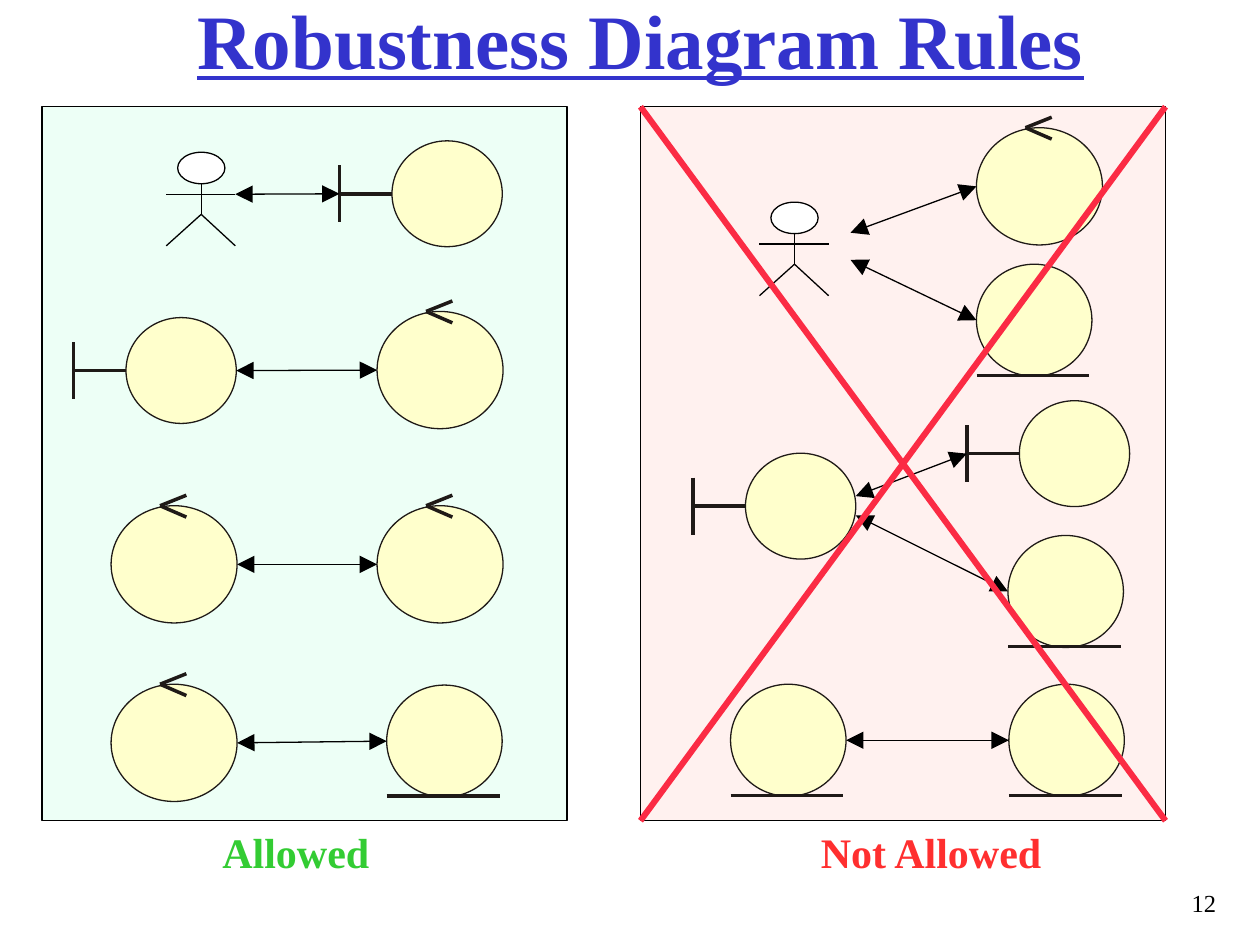
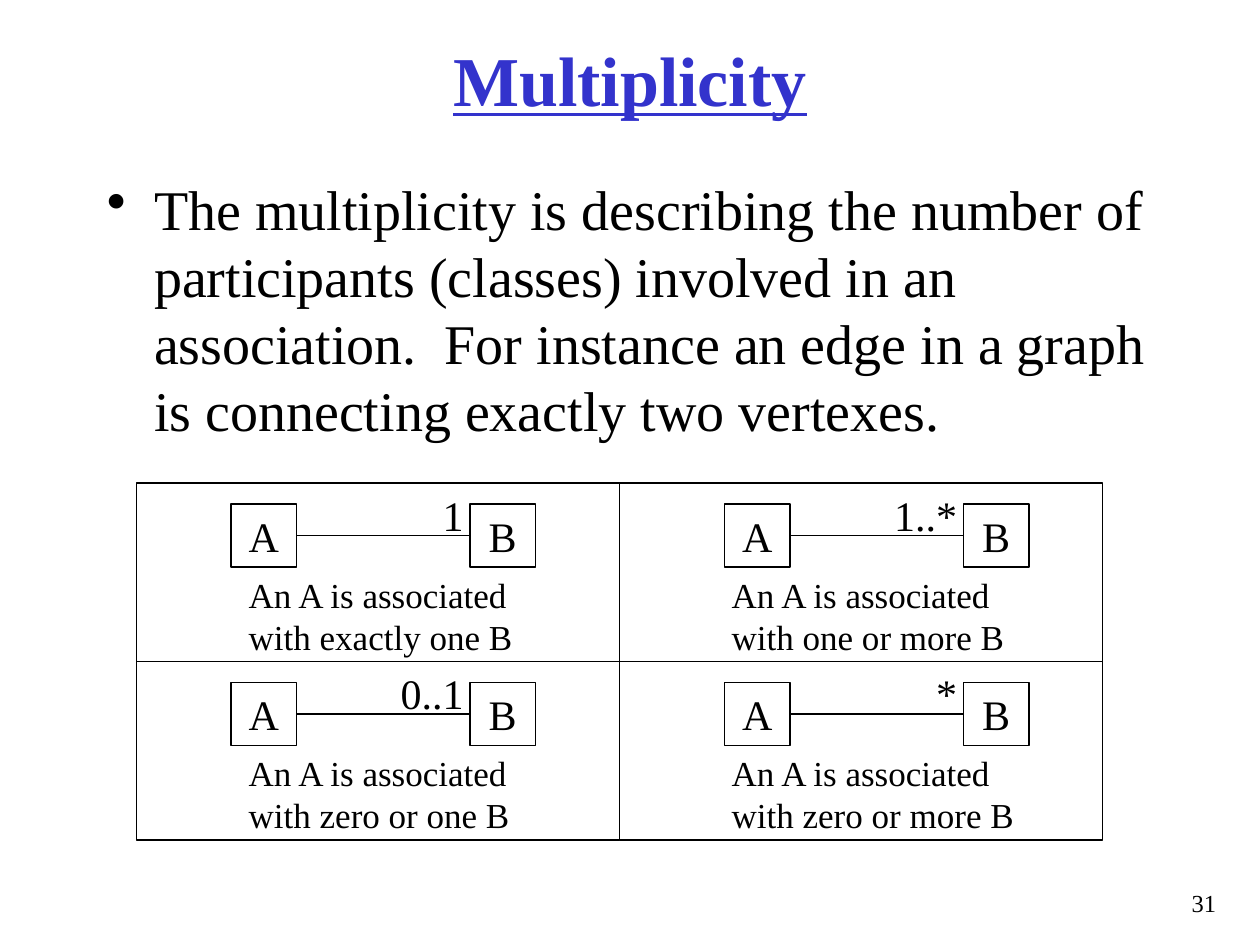
from lxml.etree import SubElement
from pptx import Presentation
from pptx.dml.color import RGBColor
from pptx.enum.shapes import MSO_CONNECTOR, MSO_SHAPE
from pptx.enum.text import MSO_ANCHOR, PP_ALIGN
from pptx.oxml.ns import qn
from pptx.util import Pt

# Shared style
FONT = "Times New Roman"
BLACK, WHITE, TITLE_BLUE = "000000", "FFFFFF", "3333CC"
SYMBOL_FILL, SYMBOL_LINE = "FFFFCC", "1F1A17"
CROSS_RED = "FB2B44"
HAIRLINE, THIN, THICK = 0, 0.75, 3.5

# Robustness rules: panel left, fill, caption, caption left, caption colour
PANEL_TOP, PANEL_WIDTH, PANEL_HEIGHT = 61, 300, 408
PANELS = [
    (24, "EDFFF6", "Allowed", 120, "33CC33"),
    (366, "FFF1EF", "Not Allowed", 462, "FF2F2F"),
]

# Circle or head size of each symbol, and its strokes relative to the top left
SYMBOL_SIZES = {
    "actor": (27, 18),
    "boundary": (63, 60.5),
    "control": (72, 67),
    "entity": (66, 64),
}
SYMBOL_STROKES = {
    "actor": [
        (13.5, 18, 13.5, 35.5),
        (-6.5, 24, 33, 24),
        (13.5, 35.5, 33, 53.5),
        (13.5, 35.5, -6.5, 53.5),
    ],
    "boundary": [(-30, 14, -30, 46.5), (-30, 30.25, 0, 30.25)],
    "control": [(43, -6, 28, 0), (43, 6.5, 28, 0)],
    "entity": [(0, 63.5, 64.5, 63.5)],
}

# Symbols by name: kind, left, top
SYMBOLS = {
    "user": ("actor", 101.5, 87),
    "user screen": ("boundary", 224, 80.5),
    "screen": ("boundary", 72, 181.5),
    "screen control": ("control", 215.5, 178),
    "first control": ("control", 63.5, 289),
    "second control": ("control", 215.5, 289),
    "data control": ("control", 63.5, 391),
    "data": ("entity", 221, 391.5),
    "barred user": ("actor", 440.5, 115.5),
    "barred control": ("control", 558, 73),
    "barred data": ("entity", 558, 151),
    "barred screen": ("boundary", 426, 259),
    "other screen": ("boundary", 582.5, 229),
    "screen data": ("entity", 576, 306),
    "first data": ("entity", 417.5, 391),
    "second data": ("entity", 576.5, 391),
}

# Arrows start at a symbol's right side or at a given point
ARROWS = [
    ("user", "user screen"),
    ("screen", "screen control"),
    ("first control", "second control"),
    ("data control", "data"),
    ((486, 133), "barred control"),
    ((486, 148.5), "barred data"),
    ((489, 283.5), "other screen"),
    ((489, 294.5), "screen data"),
    ("first data", "second data"),
]

# Multiplicity
MULTIPLICITY_TEXT = (
    "The multiplicity is describing the number of participants (classes) "
    "involved in an association.  For instance an edge in a graph is "
    "connecting exactly two vertexes."
)
MULTIPLICITIES = [
    [("1", "exactly one"), ("1..*", "one or more")],
    [("0..1", "zero or one"), ("*", "zero or more")],
]
GRID_LEFT, GRID_TOP, CELL_WIDTH, CELL_HEIGHT = 78, 276, 276, 102
CLASS_WIDTH, CLASS_HEIGHT, CLASS_GAP = 37.5, 36, 99


def color(value):
    return RGBColor.from_string(value)


def add_box(shapes, kind, left, top, width, height, fill, line=BLACK, weight=THIN):
    shape = shapes.add_shape(kind, Pt(left), Pt(top), Pt(width), Pt(height))
    shape.shadow.inherit = False
    if fill:
        shape.fill.solid()
        shape.fill.fore_color.rgb = color(fill)
    else:
        shape.fill.background()
    shape.line.color.rgb = color(line)
    shape.line.width = Pt(weight)
    return shape


def add_line(shapes, x1, y1, x2, y2, line=BLACK, weight=THIN, arrows=False):
    connector = shapes.add_connector(
        MSO_CONNECTOR.STRAIGHT, Pt(x1), Pt(y1), Pt(x2), Pt(y2))
    connector.line.color.rgb = color(line)
    connector.line.width = Pt(weight)
    if arrows:
        outline = connector.line._get_or_add_ln()
        for end in ("a:headEnd", "a:tailEnd"):
            SubElement(outline, qn(end), type="triangle", w="lg", len="lg")
    SubElement(connector._element.spPr, qn("a:effectLst"))
    return connector


def write(shape, text, size, ink=BLACK, align=PP_ALIGN.LEFT,
          anchor=MSO_ANCHOR.TOP, bold=False, underline=False, wrap=True):
    frame = shape.text_frame
    frame.word_wrap = wrap
    frame.vertical_anchor = anchor
    frame.text = text
    paragraph = frame.paragraphs[0]
    paragraph.alignment = align
    for run in paragraph.runs:
        run.font.name = FONT
        run.font.size = Pt(size)
        run.font.bold = bold
        run.font.underline = underline
        run.font.color.rgb = color(ink)
    return paragraph


def add_text(slide, left, top, width, height, text, size, **style):
    shape = slide.shapes.add_textbox(Pt(left), Pt(top), Pt(width), Pt(height))
    return write(shape, text, size, **style)


def add_slide(presentation, title, title_place, title_size, number):
    slide = presentation.slides.add_slide(presentation.slide_layouts[6])
    add_text(slide, *title_place, title, title_size, ink=TITLE_BLUE,
             align=PP_ALIGN.CENTER, anchor=MSO_ANCHOR.MIDDLE,
             bold=True, underline=True)
    add_text(slide, 336, 504, 366, 24, str(number), 14, align=PP_ALIGN.RIGHT)
    return slide


def add_symbol(slide, kind, left, top):
    shapes = slide.shapes.add_group_shape().shapes
    fill, line, weight = SYMBOL_FILL, SYMBOL_LINE, HAIRLINE
    if kind == "actor":
        fill, line, weight = WHITE, BLACK, THIN
    add_box(shapes, MSO_SHAPE.OVAL, left, top, *SYMBOL_SIZES[kind],
            fill, line, weight)
    for x1, y1, x2, y2 in SYMBOL_STROKES[kind]:
        add_line(shapes, left + x1, top + y1, left + x2, top + y2, line, weight)


def right_side(name):
    kind, left, top = SYMBOLS[name]
    width, height = SYMBOL_SIZES[kind]
    if kind == "actor":
        return left + 33, top + 24
    return left + width, top + height / 2


def left_side(name):
    kind, left, top = SYMBOLS[name]
    bar = 30 if kind == "boundary" else 0
    return left - bar, top + SYMBOL_SIZES[kind][1] / 2


def build_rules(presentation):
    slide = add_slide(presentation, "Robustness Diagram Rules",
                      (12, -8, 708, 60), 44, 12)
    # Panels and captions
    for left, fill, caption, caption_left, ink in PANELS:
        add_box(slide.shapes, MSO_SHAPE.RECTANGLE, left, PANEL_TOP,
                PANEL_WIDTH, PANEL_HEIGHT, fill)
        add_text(slide, caption_left, PANEL_TOP + PANEL_HEIGHT, 160, 36,
                 caption, 24, ink=ink, bold=True)
    # Symbols and the arrows between them
    for symbol in SYMBOLS.values():
        add_symbol(slide, *symbol)
    for start, target in ARROWS:
        point = right_side(start) if isinstance(start, str) else start
        add_line(slide.shapes, *point, *left_side(target), arrows=True)
    # Cross over the last panel
    left, right = PANELS[-1][0], PANELS[-1][0] + PANEL_WIDTH
    for start, end in ((left, right), (right, left)):
        add_line(slide.shapes, start, PANEL_TOP, end, PANEL_TOP + PANEL_HEIGHT,
                 CROSS_RED, THICK)


def add_class(slide, left, top, name):
    shape = add_box(slide.shapes, MSO_SHAPE.RECTANGLE, left, top,
                    CLASS_WIDTH, CLASS_HEIGHT, WHITE)
    write(shape, name, 24, align=PP_ALIGN.CENTER,
          anchor=MSO_ANCHOR.MIDDLE, wrap=False)
    return shape


def build_multiplicity(presentation):
    slide = add_slide(presentation, "Multiplicity", (54, 0, 612, 90), 40, 31)
    # Bulleted explanation
    paragraph = add_text(slide, 54, 96, 612, 174, MULTIPLICITY_TEXT, 32)
    properties = paragraph._p.get_or_add_pPr()
    properties.set("marL", str(Pt(27)))
    properties.set("indent", str(-Pt(27)))
    SubElement(properties, qn("a:buChar"), char="•")
    # Grid of associations
    for row, cells in enumerate(MULTIPLICITIES):
        for column, (multiplicity, meaning) in enumerate(cells):
            left = GRID_LEFT + column * CELL_WIDTH
            top = GRID_TOP + row * CELL_HEIGHT
            add_box(slide.shapes, MSO_SHAPE.RECTANGLE, left, top,
                    CELL_WIDTH, CELL_HEIGHT, None)
            a_left = left + 54 + 6 * column
            b_left = a_left + CLASS_WIDTH + CLASS_GAP
            class_a = add_class(slide, a_left, top + 12, "A")
            class_b = add_class(slide, b_left, top + 12, "B")
            association = add_line(slide.shapes, a_left + CLASS_WIDTH, top + 30,
                                   b_left, top + 30)
            association.begin_connect(class_a, 3)
            association.end_connect(class_b, 1)
            add_text(slide, b_left - 56.5, top, 60, 36, multiplicity, 24,
                     align=PP_ALIGN.RIGHT)
            add_text(slide, left + 57, top + 48, 190, 55,
                     f"An A is associated\vwith {meaning} B", 20)


def main():
    presentation = Presentation()
    presentation.slide_width, presentation.slide_height = Pt(720), Pt(540)
    build_rules(presentation)
    build_multiplicity(presentation)
    presentation.save("out.pptx")


if __name__ == "__main__":
    main()
